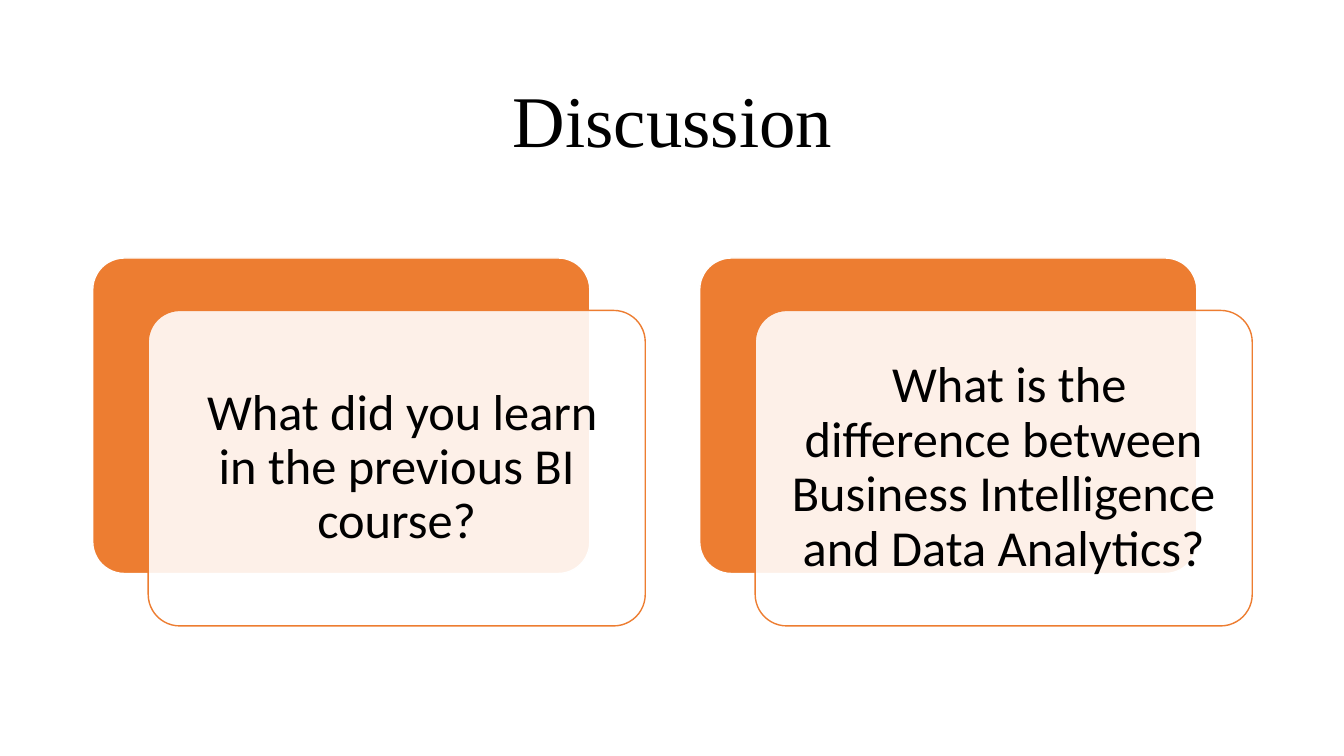
import pptx
import pptx.util
import pptx.dml.color
import pptx.enum.shapes
import pptx.enum.text
import pptx.oxml.ns
import lxml.etree
from dataclasses import dataclass

Inches = pptx.util.Inches
Pt = pptx.util.Pt


@dataclass(frozen=True)
class Theme:
    accent = pptx.dml.color.RGBColor.from_string("ED7D31")
    paper = pptx.dml.color.RGBColor.from_string("FFFFFF")
    ink = pptx.dml.color.RGBColor.from_string("000000")
    card_opacity = 89
    title_font, title_size = "Times New Roman", Pt(52)
    body_font, body_size = "Calibri", Pt(36)


theme = Theme()

presentation = pptx.Presentation()
presentation.slide_width, presentation.slide_height = Inches(13.33), Inches(7.5)
slide = presentation.slides.add_slide(presentation.slide_layouts[6])

margin, content_width = 0.92, 11.5
card_width, card_height, card_top = 4.93, 3.13, 2.56
column_step = 6.02
offset_x, offset_y = 0.55, 0.52
questions = [
    " What did you learn in the previous BI course?",
    " What is the difference between Business Intelligence and Data Analytics?",
]


def write_centred(shape, text, font_name, size):
    frame = shape.text_frame
    frame.word_wrap = True
    frame.vertical_anchor = pptx.enum.text.MSO_ANCHOR.MIDDLE
    paragraph = frame.paragraphs[0]
    paragraph.text = text
    paragraph.alignment = pptx.enum.text.PP_ALIGN.CENTER
    paragraph.line_spacing = 0.9
    paragraph.font.name = font_name
    paragraph.font.size = size
    paragraph.font.color.rgb = theme.ink


def add_card(left, top, fill, line):
    card = slide.shapes.add_shape(
        pptx.enum.shapes.MSO_SHAPE.ROUNDED_RECTANGLE,
        Inches(left), Inches(top), Inches(card_width), Inches(card_height))
    card.adjustments[0] = 0.1
    card.shadow.inherit = False
    card.fill.solid()
    card.fill.fore_color.rgb = fill
    card.line.color.rgb = line
    card.line.width = Pt(1)
    return card


title = slide.shapes.add_textbox(
    Inches(margin), Inches(0.61), Inches(content_width), Inches(1.24))
write_centred(title, "Discussion", theme.title_font, theme.title_size)

for column, question in enumerate(questions):
    left = margin + column * column_step
    add_card(left, card_top, theme.accent, theme.paper)

    front = add_card(left + offset_x, card_top + offset_y, theme.paper, theme.accent)
    fill_color = front.fill._xPr.find(".//" + pptx.oxml.ns.qn("a:srgbClr"))
    lxml.etree.SubElement(
        fill_color, pptx.oxml.ns.qn("a:alpha"), val=str(theme.card_opacity * 1000))

    frame = front.text_frame
    frame.margin_left = frame.margin_right = Inches(0.15)
    frame.margin_top = frame.margin_bottom = Inches(0.15)
    write_centred(front, question, theme.body_font, theme.body_size)

presentation.save("out.pptx")
